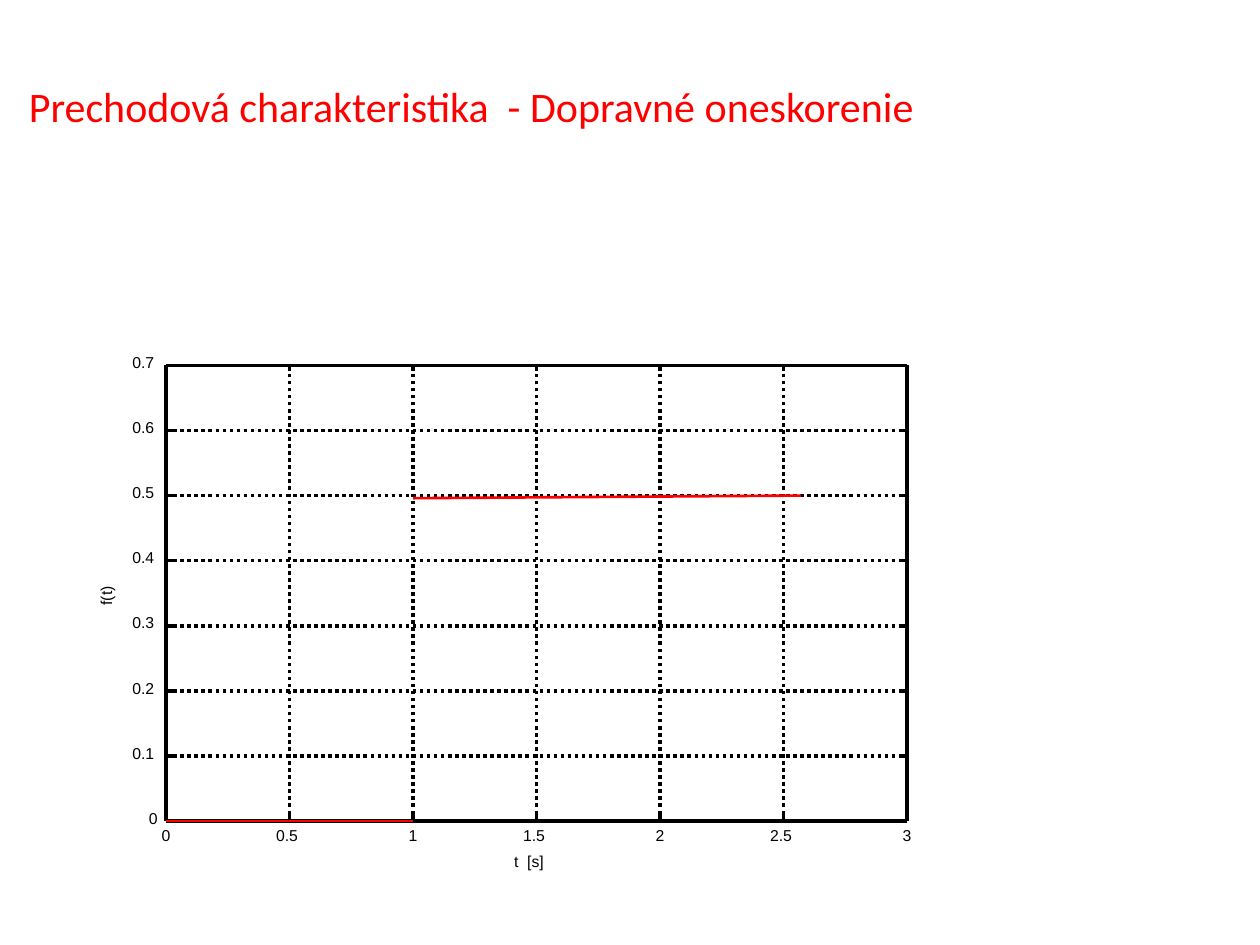
from pptx import Presentation
from pptx.dml.color import RGBColor
from pptx.enum.dml import MSO_LINE_DASH_STYLE as Dash
from pptx.enum.shapes import MSO_CONNECTOR_TYPE as Connector
from pptx.enum.text import MSO_AUTO_SIZE as AutoSize
from pptx.util import Pt

# Content
TITLE = "Prechodová charakteristika  - Dopravné oneskorenie"
TIME_LABELS = ["0", "0.5", "1", "1.5", "2", "2.5", "3"]
VALUE_LABELS = ["0", "0.1", "0.2", "0.3", "0.4", "0.5", "0.6", "0.7"]
TIME_TITLE, VALUE_TITLE = "t  [s]", "f(t)"
RESPONSE = [((1, 0.496), (2.57, 0.5)), ((0, 0), (1, 0))]  # (time, value) pairs
MAX_TIME, MAX_VALUE = 3, 0.7

# Plot area and formats
LEFT, TOP, RIGHT, BOTTOM = 95, 208.8, 518.4, 469.2
BLACK, RED = "000000", "FF0000"
TITLE_FONT = {"name": "Calibri", "size": Pt(24)}
LABEL_FONT = {"name": "Arial", "size": Pt(9)}
LABEL_HEIGHT = 16.6


def rgb(value):
    return RGBColor.from_string(value)


def time_x(time):
    return LEFT + (RIGHT - LEFT) * time / MAX_TIME


def value_y(value):
    return BOTTOM - (BOTTOM - TOP) * value / MAX_VALUE


def add_line(shapes, start, end, color=BLACK, width=0, dash=None):
    line = shapes.add_connector(Connector.STRAIGHT, *map(Pt, start + end))
    line.line.color.rgb = rgb(color)
    line.line.width = Pt(width)
    if dash:
        line.line.dash_style = dash
    properties = line._element.spPr
    properties.append(properties.makeelement(
        "{http://schemas.openxmlformats.org/drawingml/2006/main}effectLst", {}))


def add_text(shapes, text, left, top, width, height, font, color=BLACK):
    box = shapes.add_textbox(Pt(left), Pt(top), Pt(width), Pt(height))
    box.text_frame.auto_size = AutoSize.SHAPE_TO_FIT_TEXT
    box.text_frame.word_wrap = True
    paragraph = box.text_frame.paragraphs[0]
    run = paragraph.add_run()
    run.text = text
    for name, value in font.items():
        setattr(run.font, name, value)
    run.font.color.rgb = rgb(color)
    return box


def add_label(shapes, text, left, top, width):
    box = add_text(shapes, text, left, top, width, LABEL_HEIGHT, LABEL_FONT)
    box.text_frame.word_wrap = False
    for side in ("left", "top", "right", "bottom"):
        setattr(box.text_frame, f"margin_{side}", 0)
    return box


presentation = Presentation()
presentation.slide_width, presentation.slide_height = Pt(720), Pt(540)
slide = presentation.slides.add_slide(presentation.slide_layouts[6])

# Title
add_text(slide.shapes, TITLE, 9.4, 42.5, 633, 36, TITLE_FONT, RED)

# Dotted grid
plot = slide.shapes.add_group_shape().shapes
columns = [(time_x(float(label)), label) for label in TIME_LABELS]
rows = [(value_y(float(label)), label) for label in VALUE_LABELS]
for x, _ in columns:
    add_line(plot, (x, BOTTOM), (x, TOP), dash=Dash.ROUND_DOT)
for y, _ in rows:
    add_line(plot, (LEFT, y), (RIGHT, y), dash=Dash.ROUND_DOT)

# Ticks and labels of the time axis
for x, label in columns:
    add_line(plot, (x, BOTTOM), (x, BOTTOM - 5))
    add_line(plot, (x, TOP), (x, TOP + 3))
    offset, width = (2.6, 12) if len(label) == 1 else (7.8, 23)
    add_label(plot, label, x - offset, BOTTOM + 2.4, width)

# Ticks and labels of the value axis
for y, label in rows:
    add_line(plot, (LEFT, y), (LEFT + 4, y))
    add_line(plot, (RIGHT, y), (RIGHT - 4, y))
    offset, width = (10, 12) if len(label) == 1 else (19.4, 23)
    add_label(plot, label, LEFT - offset, y - 7.2, width)

# Frame
corners = [(LEFT, TOP), (RIGHT, TOP), (RIGHT, BOTTOM), (LEFT, BOTTOM)]
for start, end in zip(corners, corners[1:] + corners[:1]):
    add_line(plot, start, end)

# Axis titles
add_label(plot, TIME_TITLE, 293.8, 486.7, 28.8)
add_label(plot, VALUE_TITLE, 53.3, 327.6, 20.2).rotation = 270

# Step response
for start, end in RESPONSE:
    ends = [(time_x(time), value_y(value)) for time, value in (start, end)]
    add_line(slide.shapes, *ends, color=RED, width=1.5)

presentation.save("out.pptx")
